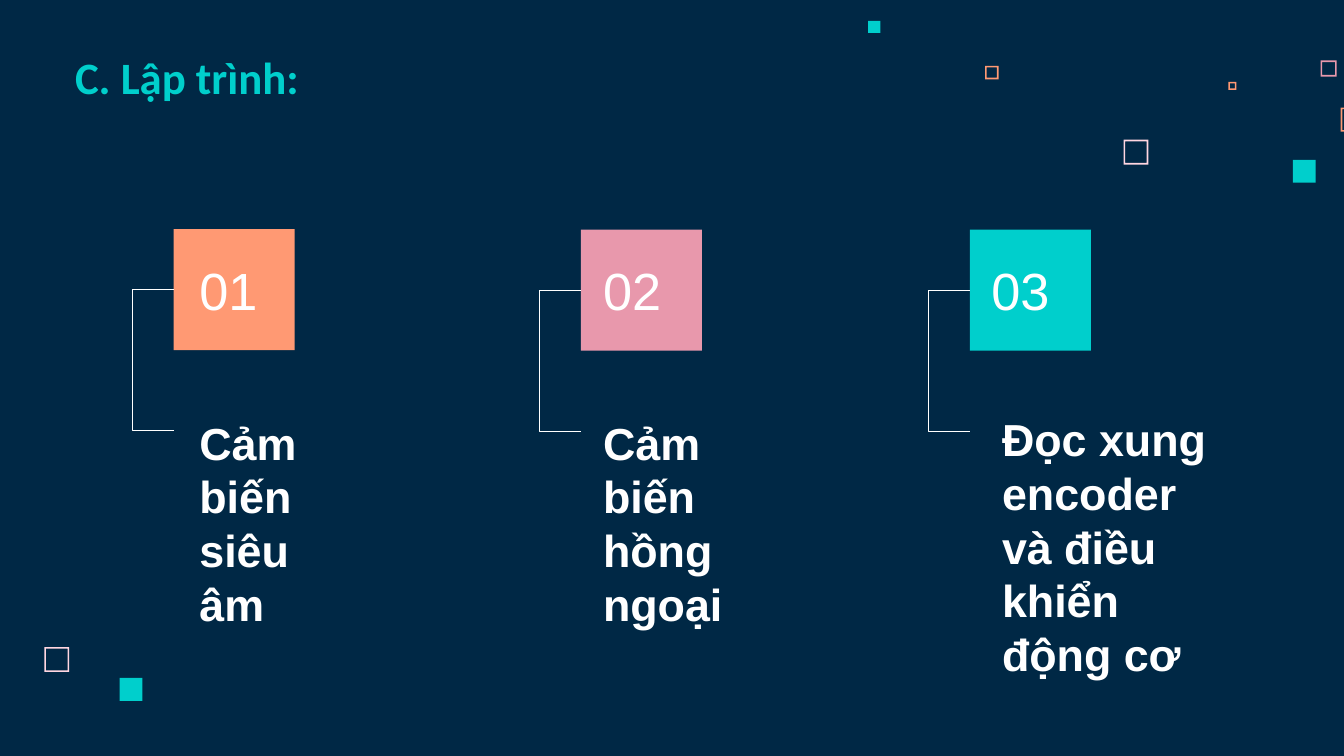
import dataclasses

import pptx
import pptx.dml.color
import pptx.enum.shapes
import pptx.enum.text
import pptx.util
from lxml import etree

SHAPE = pptx.enum.shapes.MSO_SHAPE
COLUMNS = 100  # square cells: 100 columns across, 56.25 rows down


@dataclasses.dataclass(frozen=True)
class Theme:
    navy: str = "002845"
    teal: str = "00CFCC"
    orange: str = "FF9973"
    pink: str = "E898AC"
    blush: str = "FFD6E1"
    white: str = "FFFFFF"
    title_font: str = "Calibri"
    body_font: str = "Arial"
    heading_size: int = 24
    number_size: int = 28
    line_width: float = 0.75


def rgb(color):
    return pptx.dml.color.RGBColor.from_string(color)


class SlideBuilder:
    def __init__(self, presentation, theme):
        self.theme = theme
        self.cell = presentation.slide_width / COLUMNS
        self.slide = presentation.slides.add_slide(presentation.slide_layouts[6])
        background = self.slide.background.fill
        background.solid()
        background.fore_color.rgb = rgb(theme.navy)

    def cells(self, *counts):
        return [pptx.util.Emu(round(count * self.cell)) for count in counts]

    def square(self, left, top, side, color, kind=SHAPE.RECTANGLE):
        shape = self.slide.shapes.add_shape(kind, *self.cells(left, top, side, side))
        shape.shadow.inherit = False
        shape.fill.solid()
        shape.fill.fore_color.rgb = rgb(color)
        shape.line.fill.background()
        return shape

    def frame(self, left, top, side, color):
        """Hollow square with a thin border."""
        shape = self.square(left, top, side, color, SHAPE.FRAME)
        shape.adjustments[0] = 0.12 / side

    def text(self, left, top, width, height, words, size, color=None, font=None,
             bold=True, middle=False):
        box = self.slide.shapes.add_textbox(*self.cells(left, top, width, height))
        text_frame = box.text_frame
        text_frame.word_wrap = True
        if middle:
            text_frame.vertical_anchor = pptx.enum.text.MSO_ANCHOR.MIDDLE
        paragraph = text_frame.paragraphs[0]
        paragraph.text = words
        paragraph.font.size = pptx.util.Pt(size)
        paragraph.font.name = font or self.theme.body_font
        paragraph.font.bold = bold
        paragraph.font.color.rgb = rgb(color or self.theme.white)

    def bracket(self, left, top, height, reach):
        """Elbow line that bulges to the left by reach and returns."""
        # An elbow bends in proportion to its width, so it needs a tiny one.
        width = 0.01
        connector = self.slide.shapes.add_connector(
            pptx.enum.shapes.MSO_CONNECTOR.ELBOW,
            *self.cells(left, top, left + width, top + height))
        connector.line.color.rgb = rgb(self.theme.white)
        connector.line.width = pptx.util.Pt(self.theme.line_width)
        properties = connector._element.spPr
        etree.SubElement(properties, pptx.oxml.ns.qn("a:effectLst"))
        guides = properties.find(pptx.oxml.ns.qn("a:prstGeom")).get_or_add_avLst()
        etree.SubElement(guides, pptx.oxml.ns.qn("a:gd"), name="adj1",
                         fmla=f"val {round(-reach / width * 100000)}")

    def topic(self, left, top, color, number, number_left, label, label_box):
        side = 9
        self.square(left, top, side, color)
        self.bracket(left, top + side / 2, height=10.5, reach=2.6)
        self.text(number_left, 18.4, 19.2, 6.3, number, self.theme.number_size,
                  bold=False, middle=True)
        self.text(*label_box, label, self.theme.heading_size)


def main():
    theme = Theme()
    presentation = pptx.Presentation()
    presentation.slide_width = pptx.util.Inches(10)
    presentation.slide_height = presentation.slide_width * 9 // 16
    builder = SlideBuilder(presentation, theme)

    for left, top, side, color in [
        (83.6, 10.4, 1.85, theme.blush),
        (98.25, 4.5, 1.2, theme.pink),
        (91.4, 6.1, 0.6, theme.orange),
        (99.75, 8, 1.8, theme.orange),
        (73.3, 4.9, 1, theme.orange),
        (3.3, 48.15, 1.85, theme.blush),
    ]:
        builder.frame(left, top, side, color)
    for left, top, side in [(96.2, 11.9, 1.7), (64.6, 1.55, 0.9), (8.9, 50.45, 1.7)]:
        builder.square(left, top, side, theme.teal)

    builder.text(4.6, 2.5, 85.2, 6.4, "C. Lập trình:", theme.heading_size,
                 theme.teal, theme.title_font, middle=True)

    for topic in [
        (12.93, 17.05, theme.orange, "01", 13.85, "Cảm biến siêu âm",
         (13.85, 30.4, 12.2, 17.2)),
        (43.23, 17.1, theme.pink, "02", 43.88, "Cảm biến hồng ngoại",
         (43.88, 30.4, 12.2, 17.2)),
        (72.17, 17.1, theme.teal, "03", 72.78,
         "Đọc xung encoder và điều khiển động cơ", (73.57, 30.14, 19.2, 21.2)),
    ]:
        builder.topic(*topic)

    presentation.save("out.pptx")


if __name__ == "__main__":
    main()
